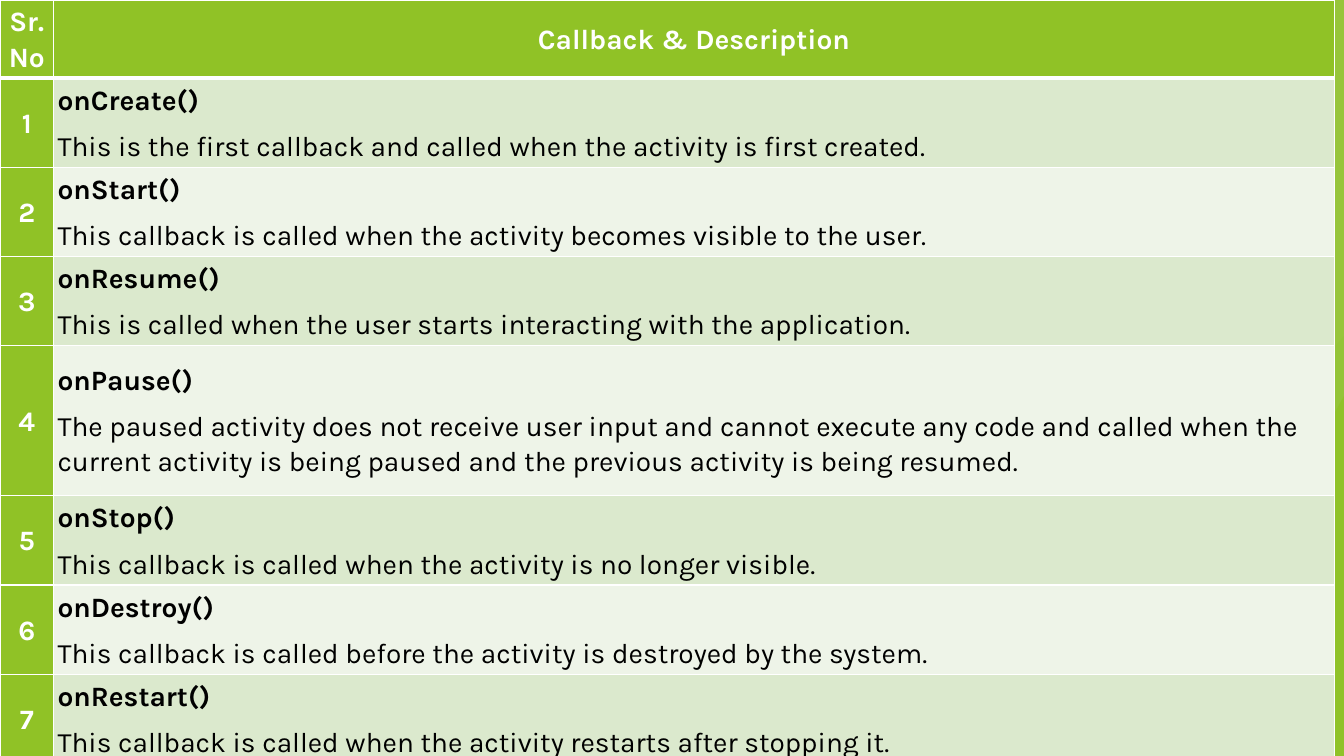
"""Build the slide with the table of activity lifecycle callbacks."""
from lxml.etree import SubElement
from pptx import Presentation
from pptx.dml.color import RGBColor
from pptx.enum.shapes import MSO_CONNECTOR, MSO_SHAPE
from pptx.enum.text import MSO_ANCHOR, PP_ALIGN
from pptx.oxml.ns import qn
from pptx.util import Cm, Pt

WHITE = RGBColor(0xFF, 0xFF, 0xFF)
BLACK = RGBColor(0x00, 0x00, 0x00)
GREEN = RGBColor(0x90, 0xC2, 0x26)
MID_GREEN = RGBColor(0x54, 0xA0, 0x21)
DARK_GREEN = RGBColor(0x3F, 0x78, 0x19)
LIME = RGBColor(0xC0, 0xE4, 0x74)
BAND_DARK = RGBColor(0xDB, 0xE9, 0xCD)
BAND_LIGHT = RGBColor(0xEE, 0xF4, 0xE8)
GREY = RGBColor(0xD9, 0xD9, 0xD9)

HEADERS = ["Sr.No", "Callback & Description"]
CALLBACKS = [
    ("onCreate()", "This is the first callback and called when the activity is first created."),
    ("onStart()", "This callback is called when the activity becomes visible to the user."),
    ("onResume()", "This is called when the user starts interacting with the application."),
    ("onPause()", "The paused activity does not receive user input and cannot execute any code and "
                  "called when the current activity is being paused and the previous activity is "
                  "being resumed."),
    ("onStop()", "This callback is called when the activity is no longer visible."),
    ("onDestroy()", "This callback is called before the activity is destroyed by the system."),
    ("onRestart()", "This callback is called when the activity restarts after stopping it."),
]
COLUMN_WIDTHS = [1.35, 32.28]
ROW_HEIGHTS = [1.93, 2.21, 2.21, 2.21, 3.78, 2.21, 2.21, 2.21]
SLIDE_WIDTH, SLIDE_HEIGHT = 33.87, 19.05
FACETS = [
    ("band", 31.19, 25.5, GREEN, 30),
    ("band", 26.67, 30.05, GREEN, 20),
    ("triangle", 24.82, 8.46, MID_GREEN, 72),
    ("band", 25.93, 32.79, DARK_GREEN, 70),
    ("band", 33.1, 30.28, LIME, 70),
    ("band", 30.38, 33.48, GREEN, 65),
    ("triangle", 28.8, 9.98, GREEN, 80),
]


def add_band(slide, top_x, bottom_x):
    builder = slide.shapes.build_freeform(Cm(top_x), Cm(0))
    corners = [(SLIDE_WIDTH, 0), (SLIDE_WIDTH, SLIDE_HEIGHT), (bottom_x, SLIDE_HEIGHT)]
    builder.add_line_segments([(Cm(x), Cm(y)) for x, y in corners], close=True)
    return builder.convert_to_shape()


def add_triangle(slide, left, top):
    shape = slide.shapes.add_shape(MSO_SHAPE.ISOSCELES_TRIANGLE, Cm(left), Cm(top),
                                   Cm(SLIDE_WIDTH - left), Cm(SLIDE_HEIGHT - top))
    shape.adjustments[0] = 1
    return shape


def add_facets(slide):
    line = slide.shapes.add_connector(MSO_CONNECTOR.STRAIGHT, Cm(SLIDE_WIDTH), Cm(10.24),
                                      Cm(20.62), Cm(SLIDE_HEIGHT))
    line.line.color.rgb = GREY
    line.line.width = Pt(0.75)
    SubElement(line._element.spPr, qn("a:effectLst"))
    makers = {"band": add_band, "triangle": add_triangle}
    for kind, first, second, color, opacity in FACETS:
        shape = makers[kind](slide, first, second)
        shape.shadow.inherit = False
        shape.line.fill.background()
        shape.fill.solid()
        shape.fill.fore_color.rgb = color
        color_element = shape._element.spPr.find(qn("a:solidFill"))[0]
        SubElement(color_element, qn("a:alpha"), val=str(opacity * 1000))


def set_borders(cell, widths):
    properties = cell._tc.get_or_add_tcPr()
    for side, width in widths.items():
        border = SubElement(properties, qn(f"a:ln{side}"), w=str(Pt(width)))
        fill = SubElement(border, qn("a:solidFill"))
        SubElement(fill, qn("a:srgbClr"), val=str(WHITE))


def fill_cell(cell, texts, fill, color, alignment):
    cell.margin_left = cell.margin_right = cell.margin_top = cell.margin_bottom = Cm(0.1)
    cell.vertical_anchor = MSO_ANCHOR.MIDDLE
    cell.fill.solid()
    cell.fill.fore_color.rgb = fill
    for index, text in enumerate(texts):
        frame = cell.text_frame
        paragraph = frame.add_paragraph() if index else frame.paragraphs[0]
        paragraph.alignment = alignment
        paragraph.line_spacing = 1.07
        paragraph.space_after = Pt(8)
        run = paragraph.add_run()
        run.text = text
        run.font.name = "Karla"
        run.font.size = Pt(20)
        run.font.bold = index == 0
        run.font.color.rgb = color


def add_callback_table(slide):
    frame = slide.shapes.add_table(len(ROW_HEIGHTS), len(COLUMN_WIDTHS), Cm(0), Cm(0),
                                   Cm(sum(COLUMN_WIDTHS)), Cm(sum(ROW_HEIGHTS)))
    table = frame.table
    table.first_row = table.horz_banding = False
    for column, width in zip(table.columns, COLUMN_WIDTHS):
        column.width = Cm(width)
    for row, height in zip(table.rows, ROW_HEIGHTS):
        row.height = Cm(height)
    rows = [[[text] for text in HEADERS]]
    rows += [[[str(number)], texts] for number, texts in enumerate(CALLBACKS, 1)]
    for row, contents in enumerate(rows):
        for column, texts in enumerate(contents):
            cell = table.cell(row, column)
            set_borders(cell, {"L": 1, "R": 1, "T": 3 if row == 1 else 1,
                               "B": 3 if row == 0 else 1})
            if row == 0 or column == 0:
                fill_cell(cell, texts, GREEN, WHITE, PP_ALIGN.CENTER)
            else:
                band = BAND_DARK if row % 2 else BAND_LIGHT
                fill_cell(cell, texts, band, BLACK, PP_ALIGN.LEFT)


def main():
    presentation = Presentation()
    presentation.slide_width = Cm(SLIDE_WIDTH)
    presentation.slide_height = Cm(SLIDE_HEIGHT)
    slide = presentation.slides.add_slide(presentation.slide_layouts[6])
    add_facets(slide)
    add_callback_table(slide)
    presentation.save("out.pptx")


if __name__ == "__main__":
    main()
